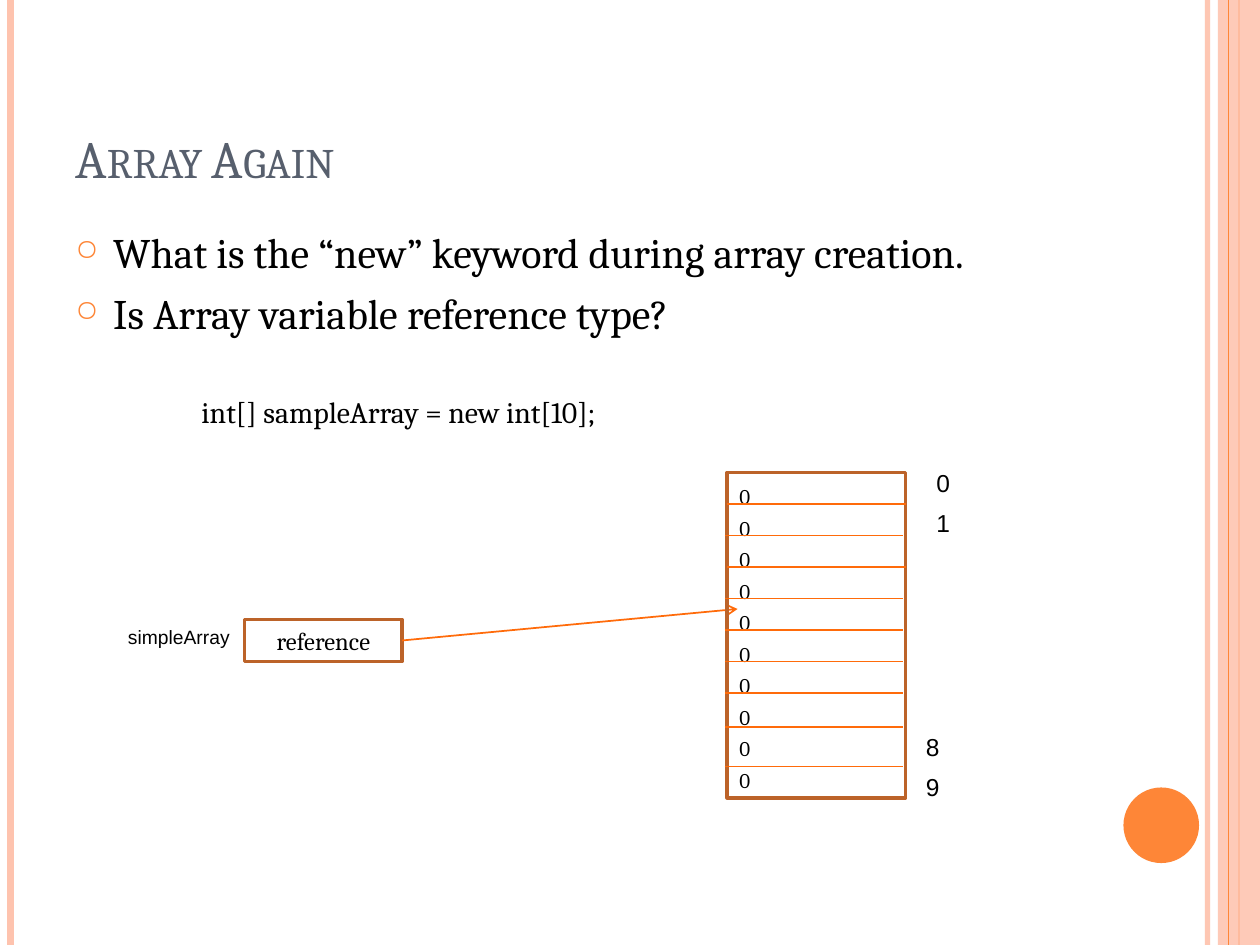
import collections

import pptx
import pptx.dml.color
import pptx.enum.shapes
import pptx.enum.text
import pptx.oxml
import pptx.oxml.ns
import pptx.util

# Lengths are columns and rows of a 120 x 90 grid laid over the slide.
COLUMNS, ROWS = 120, 90
WIDTH, HEIGHT = pptx.util.Inches(10), pptx.util.Inches(7.5)
COLORS = {
    "band": "FEC3AE", "accent": "FE8637", "title": "575F6D",
    "text": "000000", "border": "BC6329", "rule": "FF6B0A",
}
SHAPES = pptx.enum.shapes.MSO_SHAPE
ANCHOR = pptx.enum.text.MSO_ANCHOR
ALIGN = pptx.enum.text.PP_ALIGN
Box = collections.namedtuple("Box", "left top width height")


def across(columns):
    return round(WIDTH * columns / COLUMNS)


def down(rows):
    return round(HEIGHT * rows / ROWS)


def rgb(name):
    return pptx.dml.color.RGBColor.from_string(COLORS[name])


def element(parent, tag, **attributes):
    child = pptx.oxml.parse_xml(f"<a:{tag} {pptx.oxml.ns.nsdecls('a')}/>")
    for key, value in attributes.items():
        child.set(key, str(value))
    parent.append(child)
    return child


def set_opacity(part, percent):
    """Set the opacity of the solid colour found in a shape's properties."""
    color = part._element.spPr.find(".//" + pptx.oxml.ns.qn("a:srgbClr"))
    element(color, "alpha", val=percent * 1000)


def add_line(slide, start, end, color="rule", weight=1):
    line = slide.shapes.add_connector(
        pptx.enum.shapes.MSO_CONNECTOR.STRAIGHT,
        across(start[0]), down(start[1]), across(end[0]), down(end[1]))
    line.line.color.rgb = rgb(color)
    line.line.width = pptx.util.Pt(weight)
    element(line._element.spPr, "effectLst")
    return line


def add_shape(slide, kind, box, fill=None, border=None):
    shape = slide.shapes.add_shape(
        kind, across(box.left), down(box.top), across(box.width), down(box.height))
    shape.shadow.inherit = False
    if fill:
        shape.fill.solid()
        shape.fill.fore_color.rgb = rgb(fill)
    else:
        shape.fill.background()
    if border:
        shape.line.color.rgb = rgb(border)
        shape.line.width = pptx.util.Pt(2)
    else:
        shape.line.fill.background()
    return shape


def add_text_box(slide, box):
    return slide.shapes.add_textbox(
        across(box.left), down(box.top), across(box.width), down(box.height))


def write(shape, text, size, font="Cambria", color="text", anchor=ANCHOR.TOP,
          align=ALIGN.LEFT, wrap=True, before=0, spacing=1.0, small_caps=False):
    """Fill a shape with one paragraph per line of text."""
    frame = shape.text_frame
    frame.word_wrap = wrap
    frame.vertical_anchor = anchor
    frame.text = text
    for paragraph in frame.paragraphs:
        paragraph.alignment = align
        paragraph.space_before = pptx.util.Pt(before)
        paragraph.line_spacing = spacing
        run = paragraph.runs[0]
        run.font.size = pptx.util.Pt(size)
        run.font.name = font
        run.font.color.rgb = rgb(color)
        if small_caps:
            run._r.get_or_add_rPr().set("cap", "small")
    return frame.paragraphs


def add_bullet(paragraph):
    properties = paragraph._p.get_or_add_pPr()
    properties.set("marL", str(across(3.6)))
    properties.set("indent", str(-across(3.6)))
    element(element(properties, "buClr"), "srgbClr", val=COLORS["accent"])
    element(properties, "buSzPct", val=70000)
    element(properties, "buChar", char="○")


def draw_side_bands(slide, box):
    right, bottom = box.left + box.width, box.top + box.height

    def rule(column, color, weight):
        return add_line(slide, (column, box.top), (column, bottom), color, weight)

    set_opacity(rule(right - 5, "band", 3), 93)
    rule(box.left + 1, "band", 4.5)
    rule(right - 2, "accent", 1.5)
    band = add_shape(slide, SHAPES.RECTANGLE,
                     Box(right - 4, box.top, 4, box.height), fill="band")
    set_opacity(band, 87)
    rule(right - 3, "accent", 0.75)
    add_shape(slide, SHAPES.OVAL, Box(right - 13, bottom - 15, 7.2, 7.2), fill="accent")


def draw_title(slide, box):
    write(add_text_box(slide, box), "Array Again", 30, color="title",
          anchor=ANCHOR.BOTTOM, small_caps=True)


def draw_body(slide, box):
    questions_and_code = (
        "What is the “new” keyword during array creation.\n"
        "Is Array variable reference type?\n"
        "int[] sampleArray = new int[10];")
    *questions, code = write(add_text_box(slide, box), questions_and_code, 24, before=6)
    for question in questions:
        add_bullet(question)
    code.runs[0].font.size = pptx.util.Pt(17)
    code.space_before = pptx.util.Pt(32)
    code._p.get_or_add_pPr().set("marL", str(across(12)))


def draw_reference(slide, box):
    """Draw the variable's name and its reference cell; return the cell."""
    cell = add_shape(slide, SHAPES.RECTANGLE,
                     Box(box.left + 12.3, box.top, 15, box.height), border="border")
    write(cell, "reference", 14, anchor=ANCHOR.MIDDLE, align=ALIGN.CENTER)
    name = add_text_box(slide, Box(box.left, box.top, 14.3, 3.5))
    write(name, "simpleArray", 11, font="Arial")
    return cell


def draw_array(slide, box):
    """Draw the array's cells with the indexes of the first and last two."""
    array = add_shape(slide, SHAPES.RECTANGLE, box, border="border")
    write(array, "\n".join("0" * 10), 12, anchor=ANCHOR.MIDDLE, spacing=1.25)
    dividers = [*range(3, 22, 3), 24.25, 28]
    for divider in dividers:
        left = box.left if divider in (3, 9) else box.left - 0.25
        row = box.top + divider
        add_line(slide, (left, row), (left + box.width, row))
    for indexes, column, row in (("0\n1", 18.75, -1), ("8\n9", 17.75, 24.15)):
        label = add_text_box(slide, Box(box.left + column, box.top + row, 3.7, 7.9))
        write(label, indexes, 14, font="Arial", wrap=False, before=6)


def draw_pointer(slide, cell, target):
    arrow = add_line(slide, (38.3, 61), target)
    arrow.begin_connect(cell, 3)
    element(arrow.line._get_or_add_ln(), "tailEnd", type="arrow")


def main():
    deck = pptx.Presentation()
    deck.slide_width, deck.slide_height = WIDTH, HEIGHT
    slide = deck.slides.add_slide(deck.slide_layouts[6])
    draw_side_bands(slide, Box(0, 0, COLUMNS, ROWS))
    draw_title(slide, Box(6, 3.6, 98, 15))
    draw_body(slide, Box(6, 21, 98, 64))
    cell = draw_reference(slide, Box(11, 59, 27.3, 4))
    array_box = Box(69.25, 45, 17, 31)
    draw_pointer(slide, cell, (array_box.left + 1, array_box.top + 13))
    draw_array(slide, array_box)
    deck.save("out.pptx")


if __name__ == "__main__":
    main()
